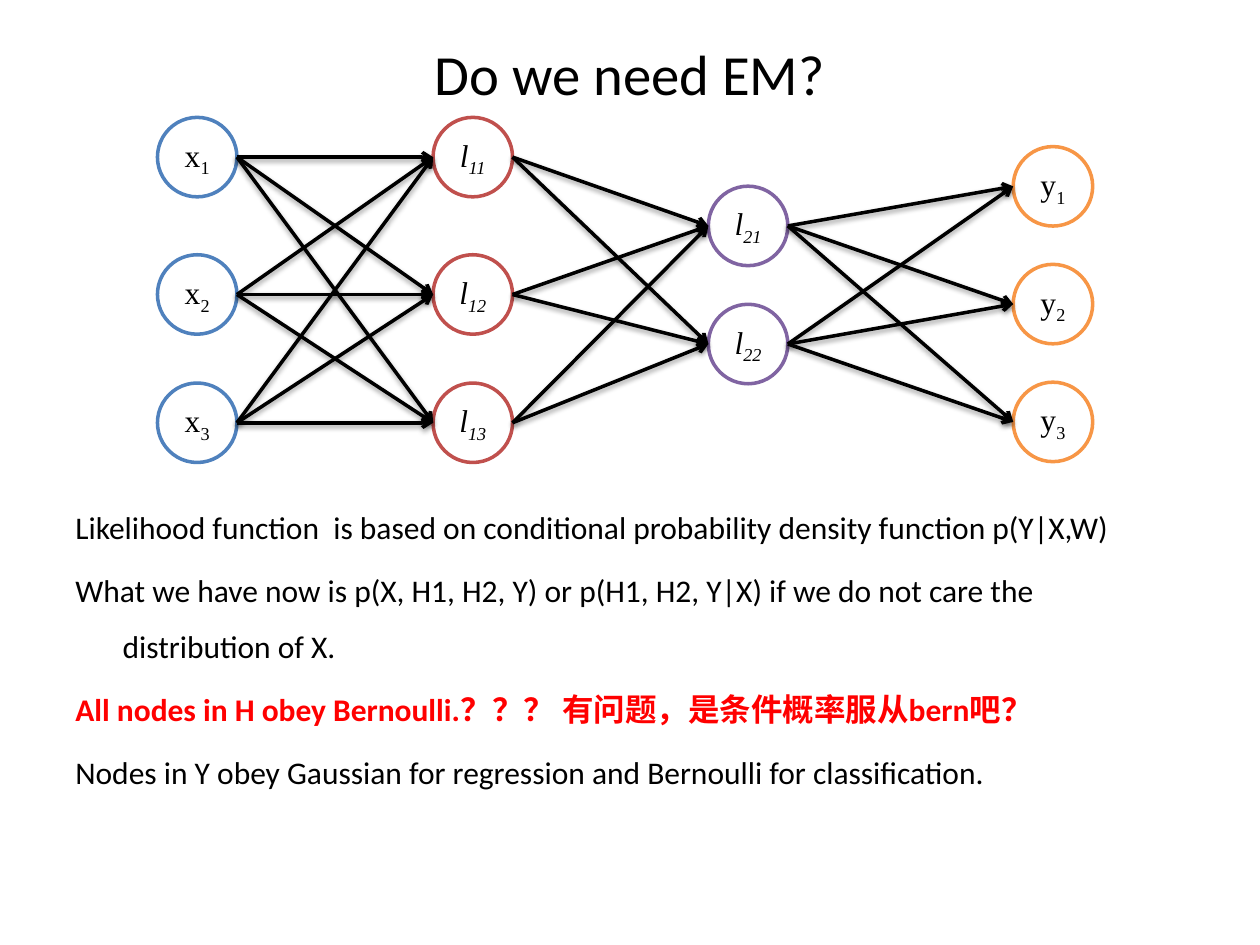
"""Build a slide showing a layered network and notes on its likelihood."""
import itertools

import lxml.etree
import pptx
import pptx.dml.color
import pptx.enum.shapes
import pptx.enum.text
import pptx.oxml
import pptx.oxml.ns
import pptx.util

Pt = pptx.util.Pt
BLACK, WHITE, RED = "000000", "FFFFFF", "FF0000"
TITLE = "Do we need EM?"
NOTES = [
    ("Likelihood function  is based on conditional probability density function p(Y|X,W)", BLACK, False),
    ("What we have now is p(X, H1, H2, Y) or p(H1, H2, Y|X) if we do not care the distribution of X.", BLACK, False),
    ("All nodes in H obey Bernoulli.？？？ 有问题，是条件概率服从bern吧？", RED, True),
    ("Nodes in Y obey Gaussian for regression and Bernoulli for classification.", BLACK, False),
]
LAYERS = [
    {"letter": "x", "prefix": "", "left": 90, "centers": (89.8, 168.3, 241.6), "color": "4F81BD"},
    {"letter": "l", "prefix": "1", "left": 247.5, "centers": (89.8, 168.3, 241.6), "color": "C0504D"},
    {"letter": "l", "prefix": "2", "left": 404.8, "centers": (129.1, 196.6), "color": "8064A2"},
    {"letter": "y", "prefix": "", "left": 579, "centers": (106.5, 173.8, 241.1), "color": "F79646"},
]
DIAMETER = 45.4
LINE_WIDTH = 2
NOTE_INDENT = 27
SHADOW = (
    f'<a:effectLst {pptx.oxml.ns.nsdecls("a")}>'
    f'<a:outerShdw blurRad="{Pt(3.1)}" dist="{Pt(1.6)}" dir="5400000" rotWithShape="0">'
    '<a:srgbClr val="000000"><a:alpha val="38000"/></a:srgbClr></a:outerShdw></a:effectLst>'
)


def rgb(value):
    """Return the colour for a hex string."""
    return pptx.dml.color.RGBColor.from_string(value)


def style_font(font, name, size, color=BLACK, bold=False, italic=False):
    """Set the look of a font."""
    font.name, font.size, font.bold, font.italic = name, Pt(size), bold, italic
    font.color.rgb = rgb(color)


def add_text_box(slide, left, top, width, height):
    """Add a wrapping text box and return its text frame."""
    frame = slide.shapes.add_textbox(Pt(left), Pt(top), Pt(width), Pt(height)).text_frame
    frame.word_wrap = True
    return frame


def add_title(slide):
    """Add the centred title."""
    frame = add_text_box(slide, 36, 16.6, 648, 49.7)
    frame.vertical_anchor = pptx.enum.text.MSO_ANCHOR.MIDDLE
    frame.text = TITLE
    paragraph = frame.paragraphs[0]
    paragraph.alignment = pptx.enum.text.PP_ALIGN.CENTER
    style_font(paragraph.runs[0].font, "Calibri", 32.4)


def add_notes(slide):
    """Add the notes with hanging indents."""
    frame = add_text_box(slide, 36, 275.8, 648, 242)
    frame.text = "\n".join(text for text, color, bold in NOTES)
    for index, (paragraph, (text, color, bold)) in enumerate(zip(frame.paragraphs, NOTES)):
        properties = paragraph._p.get_or_add_pPr()
        properties.set("marL", str(Pt(NOTE_INDENT)))
        properties.set("indent", str(-Pt(NOTE_INDENT)))
        paragraph.line_spacing = 1.5
        paragraph.space_before = Pt(3.6 if index else 0)
        style_font(paragraph.runs[0].font, "Calibri", 18, color, bold)


def add_node(slide, layer, number, center):
    """Add one circle labelled with a letter and its subscript."""
    shape = slide.shapes.add_shape(
        pptx.enum.shapes.MSO_SHAPE.OVAL,
        Pt(layer["left"]), Pt(center - DIAMETER / 2), Pt(DIAMETER), Pt(DIAMETER),
    )
    shape.shadow.inherit = False
    shape.fill.solid()
    shape.fill.fore_color.rgb = rgb(WHITE)
    shape.line.color.rgb = rgb(layer["color"])
    shape.line.width = Pt(LINE_WIDTH)
    frame = shape.text_frame
    frame.margin_left = frame.margin_right = frame.margin_top = frame.margin_bottom = 0
    frame.vertical_anchor = pptx.enum.text.MSO_ANCHOR.MIDDLE
    paragraph = frame.paragraphs[0]
    paragraph.alignment = pptx.enum.text.PP_ALIGN.CENTER
    for text in (layer["letter"], f'{layer["prefix"]}{number}'):
        run = paragraph.add_run()
        run.text = text
        style_font(run.font, "Times New Roman", 18, italic=layer["letter"] == "l")
    run._r.get_or_add_rPr().set("baseline", "-25000")


def add_arrow(slide, start, end):
    """Add a shadowed arrow between two points."""
    connector = slide.shapes.add_connector(
        pptx.enum.shapes.MSO_CONNECTOR.STRAIGHT, *(Pt(value) for value in start + end)
    )
    connector.line.color.rgb = rgb(BLACK)
    connector.line.width = Pt(LINE_WIDTH)
    line = connector.line._get_or_add_ln()
    lxml.etree.SubElement(line, pptx.oxml.ns.qn("a:tailEnd"), type="arrow")
    connector._element.spPr.append(pptx.oxml.parse_xml(SHADOW))


def main():
    """Build and save the slide."""
    presentation = pptx.Presentation()
    presentation.slide_width, presentation.slide_height = Pt(720), Pt(540)
    slide = presentation.slides.add_slide(presentation.slide_layouts[6])
    add_title(slide)
    add_notes(slide)
    for layer in LAYERS:
        for number, center in enumerate(layer["centers"], 1):
            add_node(slide, layer, number, center)
    for source, target in zip(LAYERS, LAYERS[1:]):
        for start, end in itertools.product(source["centers"], target["centers"]):
            add_arrow(slide, (source["left"] + DIAMETER, start), (target["left"], end))
    presentation.save("out.pptx")


if __name__ == "__main__":
    main()
